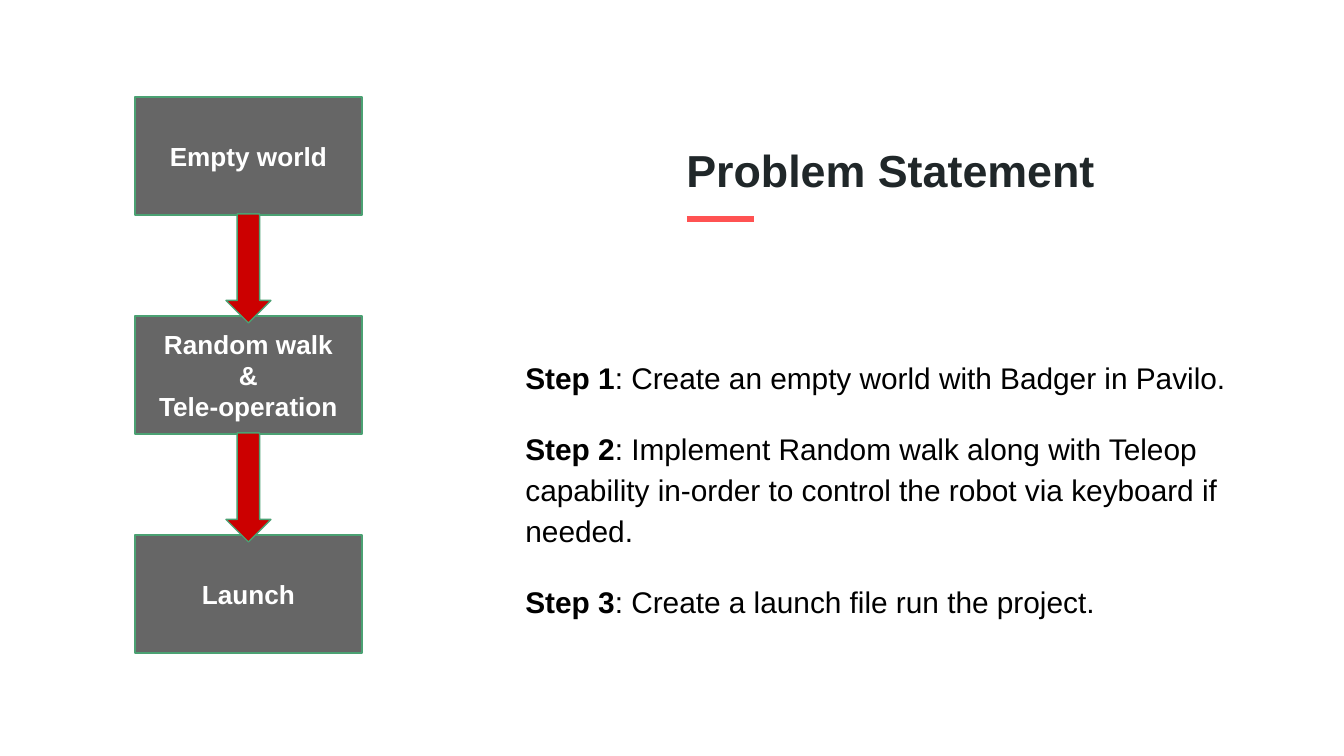
import pptx
import pptx.dml.color
import pptx.enum.shapes
import pptx.enum.text
import pptx.oxml.ns
import pptx.util
from lxml import etree

PX = 914400 / 134.4
COLORS = {
    "title": "202729",
    "body": "000000",
    "accent": "FF5252",
    "box": "666666",
    "outline": "4BA173",
    "arrow": "CC0000",
    "label": "FFFFFF",
}
STAGES = ["Empty world", "Random walk\n&\nTele-operation", "Launch"]
STEPS = [
    ("Step 1", ": Create an empty world with Badger in Pavilo."),
    ("Step 2", ": Implement Random walk along with Teleop capability "
               "in-order to control the robot via keyboard if needed."),
    ("Step 3", ": Create a launch file run the project."),
]
STAGE_TOP, STAGE_HEIGHT, STAGE_PITCH = 97, 118, 219


def px(*lengths):
    """Convert pixel lengths to EMU."""
    return [pptx.util.Emu(round(length * PX)) for length in lengths]


def rgb(name):
    """Look up a palette colour."""
    return pptx.dml.color.RGBColor.from_string(COLORS[name])


class SlideBuilder:
    """Hold the text style and the current slide."""

    def __init__(self, page, font="Arial"):
        """Keep the page and the font name."""
        self.page = page
        self.font = font

    def style(self, para, size, color, bold=None):
        """Set the font of a whole paragraph."""
        para.font.name = self.font
        para.font.size = pptx.util.Pt(size)
        para.font.color.rgb = rgb(color)
        para.font.bold = bold

    def frame(self, shape, anchor):
        """Give a shape's text even margins and an anchor."""
        frame = shape.text_frame
        frame.word_wrap = True
        frame.auto_size = pptx.enum.text.MSO_AUTO_SIZE.NONE
        frame.vertical_anchor = anchor
        frame.margin_left = frame.margin_right = pptx.util.Inches(0.1)
        frame.margin_top = frame.margin_bottom = pptx.util.Inches(0.1)
        return frame

    def place(self, shape, *bounds):
        """Move a placeholder to its pixel bounds."""
        shape.left, shape.top, shape.width, shape.height = px(*bounds)

    def centered(self, frame, text, size, color):
        """Write bold centred lines into a frame."""
        frame.text = text
        for para in frame.paragraphs:
            para.alignment = pptx.enum.text.PP_ALIGN.CENTER
            self.style(para, size, color, True)

    def title(self, text, *bounds):
        """Fill the title placeholder."""
        title = self.page.shapes.title
        self.place(title, *bounds)
        frame = self.frame(title, pptx.enum.text.MSO_ANCHOR.BOTTOM)
        self.centered(frame, text, 24, "title")

    def steps(self, steps, *bounds):
        """Fill the body placeholder with bold-led paragraphs."""
        body = self.page.placeholders[1]
        self.place(body, *bounds)
        frame = self.frame(body, pptx.enum.text.MSO_ANCHOR.TOP)
        for index, (lead, rest) in enumerate(steps):
            para = frame.add_paragraph() if index else frame.paragraphs[0]
            self.style(para, 16, "body")
            para.line_spacing = 1.15
            para.space_before = pptx.util.Pt(0)
            para.space_after = pptx.util.Pt(16)
            properties = para._p.get_or_add_pPr()
            properties.set("marL", "0")
            properties.set("indent", "0")
            bullet = etree.Element(pptx.oxml.ns.qn("a:buNone"))
            properties.find(pptx.oxml.ns.qn("a:defRPr")).addprevious(bullet)
            for text, bold in ((lead, True), (rest, False)):
                span = para.add_run()
                span.text = text
                span.font.bold = bold

    def shape(self, kind, fill, *bounds):
        """Add a filled and outlined preset shape."""
        shape = self.page.shapes.add_shape(kind, *px(*bounds))
        shape.shadow.inherit = False
        shape.fill.solid()
        shape.fill.fore_color.rgb = rgb(fill)
        shape.line.color.rgb = rgb("outline")
        shape.line.width = pptx.util.Pt(0.75)
        return shape

    def stage(self, text, *bounds):
        """Add a labelled box of the flow."""
        box = self.shape(pptx.enum.shapes.MSO_SHAPE.RECTANGLE, "box", *bounds)
        frame = self.frame(box, pptx.enum.text.MSO_ANCHOR.MIDDLE)
        self.centered(frame, text, 14, "label")

    def arrow(self, *bounds):
        """Add a down arrow between stages."""
        self.shape(pptx.enum.shapes.MSO_SHAPE.DOWN_ARROW, "arrow", *bounds)

    def rule(self, *ends):
        """Add the accent line."""
        line = self.page.shapes.add_connector(
            pptx.enum.shapes.MSO_CONNECTOR.STRAIGHT, *px(*ends))
        line.line.color.rgb = rgb("accent")
        line.line.width = pptx.util.Pt(3)
        etree.SubElement(line._element.spPr, pptx.oxml.ns.qn("a:effectLst"))


def main():
    """Build and save the slide."""
    deck = pptx.Presentation()
    deck.slide_width, deck.slide_height = px(1344, 756)
    builder = SlideBuilder(deck.slides.add_slide(deck.slide_layouts[1]))
    builder.rule(687, 219, 754, 219)
    builder.title("Problem Statement", 595, 101, 591, 109)
    builder.steps(STEPS, 512, 341, 758, 328)
    tops = [STAGE_TOP + index * STAGE_PITCH for index in range(len(STAGES))]
    for text, top in zip(STAGES, tops):
        builder.stage(text, 135, top, 227, STAGE_HEIGHT)
    for top in tops[:-1]:
        builder.arrow(226, top + STAGE_HEIGHT - 1, 45, 109)
    deck.save("out.pptx")


if __name__ == "__main__":
    main()
